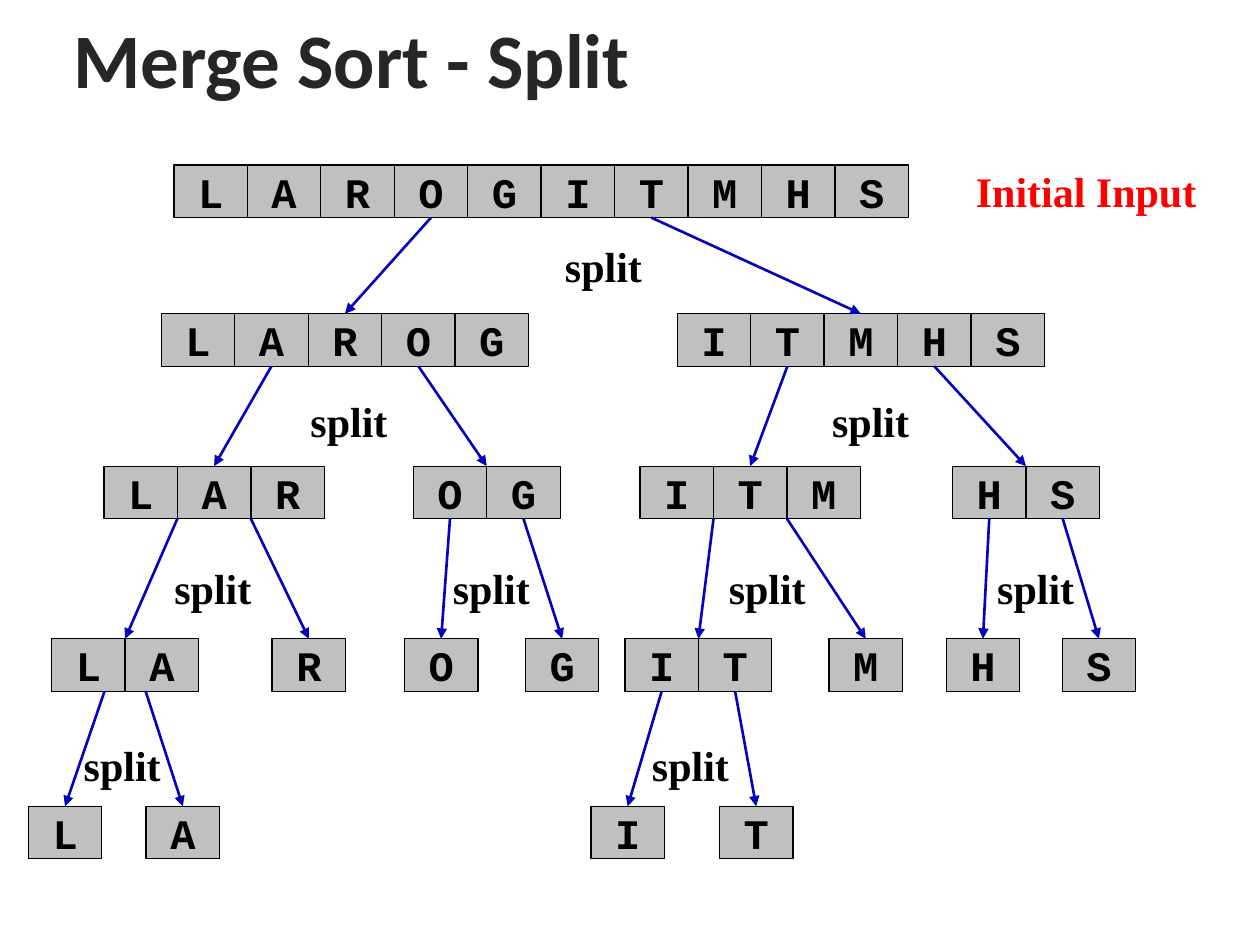
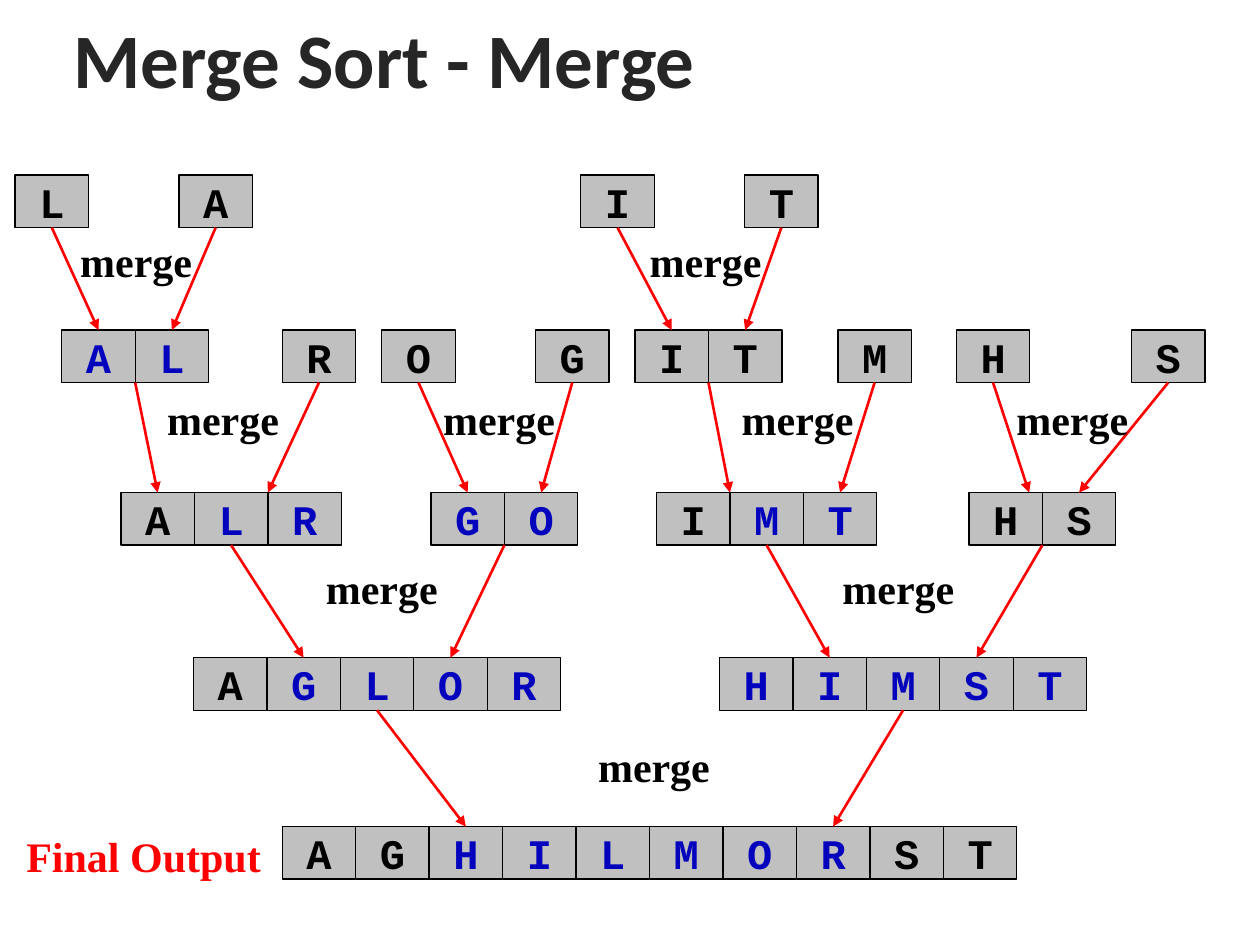
from lxml import etree
from pptx import Presentation
from pptx.dml.color import RGBColor
from pptx.enum.shapes import MSO_CONNECTOR, MSO_SHAPE
from pptx.enum.text import MSO_ANCHOR, MSO_AUTO_SIZE, PP_ALIGN
from pptx.oxml.ns import qn
from pptx.util import Inches, Pt

RECT, LINE = MSO_SHAPE.RECTANGLE, MSO_CONNECTOR.STRAIGHT
LEFT, MID = PP_ALIGN.LEFT, PP_ALIGN.CENTER
WIDE, HIGH = Inches(10), Inches(7.5)
CELL_W, CELL_H = 5.83, 5.56
BOTTOM, TOP = 2, 0
HUES = {"ink": "000000", "title": "262626", "cell": "C0C0C0",
        "blue": "0303BD", "red": "FF0000"}
FONTS = {"title": {"name": "Calibri", "size": Pt(44), "bold": True},
         "cell": {"name": "Courier New", "size": Pt(24), "bold": True},
         "label": {"name": "Times New Roman", "size": Pt(24), "bold": True}}
FRAME = {"vertical_anchor": MSO_ANCHOR.MIDDLE, "auto_size": MSO_AUTO_SIZE.NONE}

# Positions are percent of the slide; a lower-case letter has just moved.
# An arrow is (run above, column in it, run below, column in it).
SPLIT = {
    "title": "Merge Sort - Split", "word": "split", "hue": "blue", "span": 9.6,
    "note": ("Initial Input", 75.9, 17.47, 20.6),
    "rows": [
        (17.47, [(13.8, "LAROGITMHS")]),
        (33.2, [(12.8, "LAROG"), (53.75, "ITMHS")]),
        (49.33, [(8.25, "LAR"), (32.8, "OG"), (50.8, "ITM"), (75.6, "HS")]),
        (67.6, [(4.1, "LA"), (21.6, "R"), (32.1, "O"), (41.7, "G"),
                (49.6, "IT"), (65.8, "M"), (75.1, "H"), (84.3, "S")]),
        (85.33, [(2.25, "L"), (11.6, "A"), (46.9, "I"), (57.1, "T")])],
    "arrows": [
        [(0, 3.5, 0, 2.5), (0, 6.5, 1, 2.5)],
        [(0, 1.5, 0, 1.5), (0, 3.5, 1, 1), (1, 1.5, 2, 1.5), (1, 3.5, 3, 1)],
        [(0, 1, 0, 1), (0, 2, 1, 0.5), (1, 0.5, 2, 0.5), (1, 1.5, 3, 0.5),
         (2, 1, 4, 1), (2, 2, 5, 0.5), (3, 0.5, 6, 0.5), (3, 1.5, 7, 0.5)],
        [(0, 0.72, 0, 0.5), (0, 1.28, 1, 0.5), (4, 0.5, 2, 0.5), (4, 1.5, 3, 0.5)]],
    "labels": [(25.47, [43.1]), (41.87, [22.9, 64.3]),
               (59.47, [12.1, 34.2, 56.1, 77.4]), (78.3, [4.9, 50])]}
MERGE = {
    "title": "Merge Sort - Merge", "word": "merge", "hue": "red", "span": 11.2,
    "note": ("Final Output", 0.4, 87.87, 22),
    "rows": [
        (18.53, [(1.2, "L"), (14.2, "A"), (46.1, "I"), (59.1, "T")]),
        (34.93, [(4.9, "al"), (22.4, "R"), (30.3, "O"), (42.5, "G"),
                 (50.4, "IT"), (66.5, "M"), (75.9, "H"), (89.8, "S")]),
        (52.13, [(9.6, "Alr"), (34.2, "go"), (52.1, "Imt"), (76.9, "HS")]),
        (69.6, [(15.35, "Aglor"), (57.1, "himst")]),
        (87.47, [(22.4, "AGhilmorST")])],
    "arrows": [
        [(0, 0.5, 0, 0.5), (1, 0.5, 0, 1.5), (2, 0.5, 4, 0.5), (3, 0.5, 4, 1.5)],
        [(0, 1, 0, 0.5), (1, 0.5, 0, 2), (2, 0.5, 1, 0.5), (3, 0.5, 1, 1.5),
         (4, 1, 2, 1), (5, 0.5, 2, 2.5), (6, 0.5, 3, 0.82), (7, 0.5, 3, 1.5)],
        [(0, 1.5, 0, 1.5), (1, 1, 0, 3.5), (2, 1.5, 1, 1.5), (3, 1, 1, 3.5)],
        [(0, 2.5, 0, 2.5), (1, 2.5, 0, 7.5)]],
    "labels": [(24.93, [5.2, 50.4]), (41.6, [12.1, 34, 57.7, 79.5]),
               (59.47, [24.7, 65.7]), (78.4, [46.3])]}


def place(x, y, w, h):
    """Turn percent shares of the slide into lengths."""
    return [int(WIDE * x / 100), int(HIGH * y / 100),
            int(WIDE * w / 100), int(HIGH * h / 100)]


def color(name):
    """Look up a colour."""
    return RGBColor.from_string(HUES[name])


def write(shape, text, font, hue, align=MID, wrap=True):
    """Put one formatted line of text in a shape."""
    frame = shape.text_frame
    for key, val in {**FRAME, "word_wrap": wrap}.items():
        setattr(frame, key, val)
    para = frame.paragraphs[0]
    para.alignment = align
    run = para.add_run()
    run.text = text
    for key, val in FONTS[font].items():
        setattr(run.font, key, val)
    run.font.color.rgb = color(hue)


def add_title(slide, text):
    """Fill and move the title placeholder."""
    title = slide.shapes.title
    box = place(4.8, 1.07, 91.9, 10)
    for key, val in zip(("left", "top", "width", "height"), box):
        setattr(title, key, val)
    write(title, text, "title", "title", LEFT)


def add_label(slide, text, x, y, w, hue="ink"):
    """Add a line of label text."""
    box = slide.shapes.add_textbox(*place(x, y, w, 5.33))
    write(box, text, "label", hue)


def add_cell(slide, char, x, y):
    """Add one letter cell."""
    cell = slide.shapes.add_shape(RECT, *place(x, y, CELL_W, CELL_H))
    cell.shadow.inherit = False
    cell.fill.solid()
    cell.fill.fore_color.rgb = color("cell")
    cell.line.color.rgb = color("ink")
    cell.line.width = Pt(0.75)
    write(cell, char.upper(), "cell", "blue" if char.islower() else "ink", wrap=False)
    return cell


def add_run(slide, word, x, y):
    """Add touching cells, one for each letter."""
    return [add_cell(slide, char, x + i * CELL_W, y) for i, char in enumerate(word)]


def find(run, col, side):
    """Give the point at a column on the top or bottom of a run."""
    first = run[0]
    drop = first.height if side == BOTTOM else 0
    return first.left + int(col * first.width), first.top + drop


def add_arrow(slide, start, col, end, goal, hue):
    """Draw an arrow between runs, joined where it meets a cell's middle."""
    link = slide.shapes.add_connector(
        LINE, *find(start, col, BOTTOM), *find(end, goal, TOP))
    if col % 1 == 0.5:
        link.begin_connect(start[int(col)], BOTTOM)
    if goal % 1 == 0.5:
        link.end_connect(end[int(goal)], TOP)
    link.line.color.rgb = color(hue)
    link.line.width = Pt(1.5)
    etree.SubElement(link.line._get_or_add_ln(), qn("a:tailEnd"), type="triangle")
    etree.SubElement(link._element.spPr, qn("a:effectLst"))


def add_tree(deck, data):
    """Build one slide with its rows, arrows and labels."""
    slide = deck.slides.add_slide(deck.slide_layouts[5])
    add_title(slide, data["title"])
    rows = [[add_run(slide, word, x, y) for x, word in runs]
            for y, runs in data["rows"]]
    for above, below, arrows in zip(rows, rows[1:], data["arrows"]):
        for start, col, end, goal in arrows:
            add_arrow(slide, above[start], col, below[end], goal, data["hue"])
    for y, spots in data["labels"]:
        for x in spots:
            add_label(slide, data["word"], x, y, data["span"])
    add_label(slide, *data["note"], hue="red")


def main():
    """Build and save the deck."""
    deck = Presentation()
    deck.slide_width, deck.slide_height = WIDE, HIGH
    for data in (SPLIT, MERGE):
        add_tree(deck, data)
    deck.save("out.pptx")


if __name__ == "__main__":
    main()
